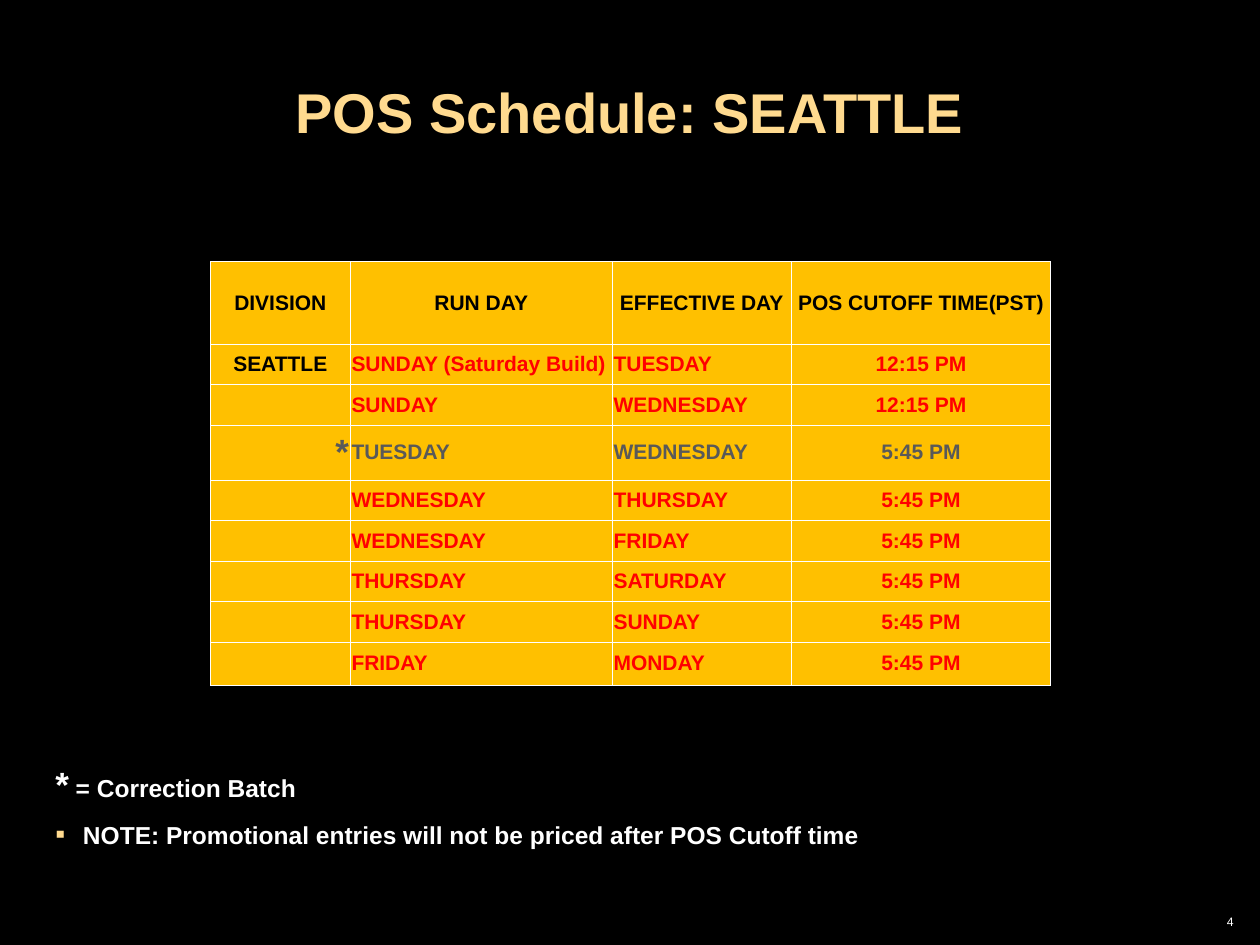
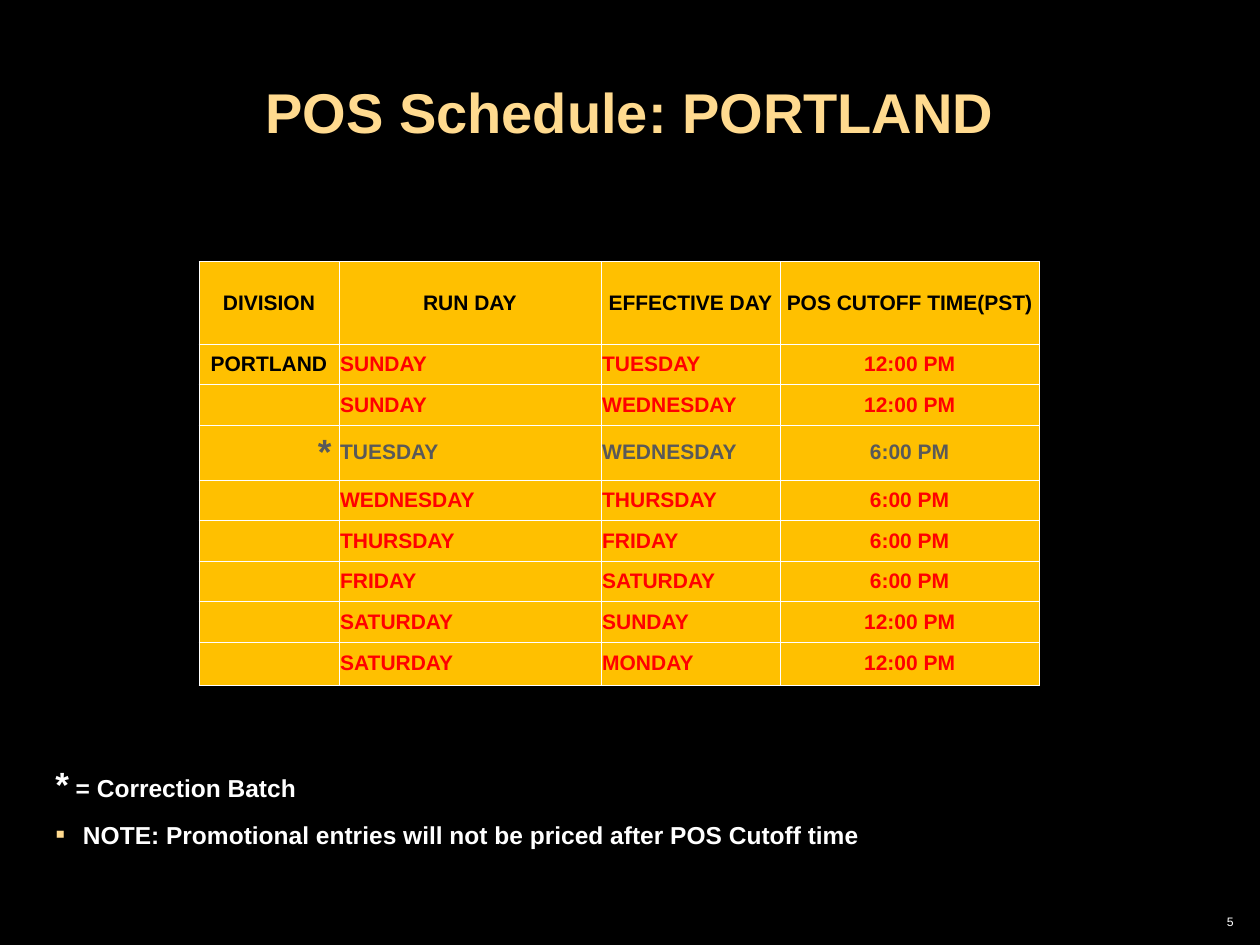
import pptx
import pptx.util
import pptx.dml.color
import pptx.enum.text
import pptx.oxml.ns
from lxml import etree

COLORS = {"back": "000000", "title": "FFDA8F", "text": "FFFFFF", "cell": "FFC000",
          "label": "000000", "batch": "FF0000", "correction": "595959"}
FONT = "Arial"
WIDTH, HEIGHT = pptx.util.Inches(10), pptx.util.Inches(7.5)

TITLE_BOX = (0.013, 0.084, 0.974, 0.077)
NOTES_BOX = (0.034, 0.8, 0.931, 0.111)
NUMBER_BOX = (0.781, 0.961, 0.208, 0.039)
TABLE_TOP, TABLE_WIDTH, TABLE_HEIGHT = 0.277, 0.667, 0.436
COL_WEIGHTS = (1.11, 2.08, 1.42, 2.06)
ROW_WEIGHTS = (0.65, 0.32, 0.32, 0.34, 0.32, 0.32, 0.32, 0.32, 0.34)

HEADERS = ("DIVISION", "RUN DAY", "EFFECTIVE DAY", "POS CUTOFF TIME(PST)")
EFFECTIVE_DAYS = ("TUESDAY", "WEDNESDAY", "WEDNESDAY", "THURSDAY",
                  "FRIDAY", "SATURDAY", "SUNDAY", "MONDAY")
CORRECTION_ROW = 3
SCHEDULES = (
    {"division": "SEATTLE", "number": 4, "left": 0.167, "star_gap": 0.01,
     "run_days": ("SUNDAY (Saturday Build)", "SUNDAY", "TUESDAY", "WEDNESDAY",
                  "WEDNESDAY", "THURSDAY", "THURSDAY", "FRIDAY"),
     "cutoffs": ("12:15 PM",) * 2 + ("5:45 PM",) * 6},
    {"division": "PORTLAND", "number": 5, "left": 0.158, "star_gap": 0.06,
     "run_days": ("SUNDAY", "SUNDAY", "TUESDAY", "WEDNESDAY",
                  "THURSDAY", "FRIDAY", "SATURDAY", "SATURDAY"),
     "cutoffs": ("12:00 PM",) * 2 + ("6:00 PM",) * 4 + ("12:00 PM",) * 2},
)

ALIGN = pptx.enum.text.PP_ALIGN
ANCHOR = pptx.enum.text.MSO_ANCHOR


def rgb(name):
    """Return the named colour."""
    return pptx.dml.color.RGBColor.from_string(COLORS[name])


def add_xml(parent, tag, **attrs):
    """Append a DrawingML element to its parent."""
    return etree.SubElement(parent, pptx.oxml.ns.qn(f"a:{tag}"), attrs)


def to_emu(box):
    """Turn shares of the slide into lengths."""
    x, y, w, h = box
    return round(x * WIDTH), round(y * HEIGHT), round(w * WIDTH), round(h * HEIGHT)


def style(font, size, color, bold=True):
    """Set the face, size, colour and weight of a font."""
    font.name, font.size, font.bold = FONT, pptx.util.Pt(size), bold
    font.color.rgb = rgb(color)


def add_text_frame(s, box):
    """Add a wrapping text box and return its frame."""
    tf = s.shapes.add_textbox(*to_emu(box)).text_frame
    tf.word_wrap = True
    return tf


def add_title(s, box, text):
    """Add the slide title, standing on the bottom of its box."""
    tf = add_text_frame(s, box)
    tf.vertical_anchor = ANCHOR.BOTTOM
    p = tf.paragraphs[0]
    p.text, p.alignment, p.line_spacing = text, ALIGN.CENTER, 0.9
    style(p.font, 32, "title")


def add_number(s, box, number):
    """Add the slide number at the right of its box."""
    p = add_text_frame(s, box).paragraphs[0]
    p.text, p.alignment = str(number), ALIGN.RIGHT
    style(p.font, 7, "text", bold=False)


def add_notes(s, box):
    """Add the key to the asterisk and the bulleted note."""
    tf = add_text_frame(s, box)
    p = tf.paragraphs[0]
    for text, size in (("*", 20), (" = Correction Batch", 14)):
        r = p.add_run()
        r.text = text
        style(r.font, size, "text")
    p = tf.add_paragraph()
    p.text = "NOTE: Promotional entries will not be priced after POS Cutoff time"
    p.space_before = pptx.util.Pt(8.8)
    indent = pptx.util.Inches(0.22)
    pPr = p._p.get_or_add_pPr()
    pPr.set("marL", str(indent))
    pPr.set("indent", str(-indent))
    add_xml(add_xml(pPr, "buClr"), "srgbClr", val=COLORS["title"])
    add_xml(pPr, "buSzPct", val="115000")
    add_xml(pPr, "buFont", typeface=FONT)
    add_xml(pPr, "buChar", char="▪")
    style(p.font, 14, "text")


def fill_cell(cell, text, align, size, color, right):
    """Write one table cell with its fill and borders."""
    cell.margin_left, cell.margin_right = pptx.util.Inches(0.01), pptx.util.Inches(right)
    cell.vertical_anchor = ANCHOR.MIDDLE
    for side in ("lnL", "lnR", "lnT", "lnB"):
        ln = add_xml(cell._tc.get_or_add_tcPr(), side, w=str(pptx.util.Pt(0.45)))
        add_xml(add_xml(ln, "solidFill"), "srgbClr", val=COLORS["text"])
    cell.fill.solid()
    cell.fill.fore_color.rgb = rgb("cell")
    p = cell.text_frame.paragraphs[0]
    p.alignment = align
    if text:
        p.text = text
        style(p.font, size, color)
    else:
        add_xml(p._p, "endParaRPr", sz=str(size * 100))


def add_schedule(s, box, schedule):
    """Add the table of run days, effective days and cutoff times."""
    divisions = [schedule["division"]] + [""] * (len(EFFECTIVE_DAYS) - 1)
    divisions[CORRECTION_ROW - 1] = "*"
    rows = [HEADERS, *zip(divisions, schedule["run_days"], EFFECTIVE_DAYS, schedule["cutoffs"])]
    x, y, w, h = to_emu(box)
    frame = s.shapes.add_table(len(rows), len(HEADERS), x, y, w, h)
    table = frame.table
    table.first_row = table.horz_banding = False
    for col, weight in zip(table.columns, COL_WEIGHTS):
        col.width = round(w * weight / sum(COL_WEIGHTS))
    for row, weight in zip(table.rows, ROW_WEIGHTS):
        row.height = round(h * weight / sum(ROW_WEIGHTS))
    for i, texts in enumerate(rows):
        for j, text in enumerate(texts):
            star = text == "*"
            align = ALIGN.LEFT if i and j in (1, 2) else ALIGN.CENTER
            if i == CORRECTION_ROW:
                color = "correction"
            else:
                color = "batch" if i and j else "label"
            fill_cell(table.cell(i, j), text, ALIGN.RIGHT if star else align,
                      20 if star else 12, color, schedule["star_gap"] if star else 0.01)


def add_schedule_slide(prs, schedule):
    """Add the slide of one division."""
    s = prs.slides.add_slide(prs.slide_layouts[6])
    s.background.fill.solid()
    s.background.fill.fore_color.rgb = rgb("back")
    add_number(s, NUMBER_BOX, schedule["number"])
    add_title(s, TITLE_BOX, f"POS Schedule: {schedule['division']}")
    add_schedule(s, (schedule["left"], TABLE_TOP, TABLE_WIDTH, TABLE_HEIGHT), schedule)
    add_notes(s, NOTES_BOX)


def main():
    """Build and save the presentation."""
    prs = pptx.Presentation()
    prs.slide_width, prs.slide_height = WIDTH, HEIGHT
    for schedule in SCHEDULES:
        add_schedule_slide(prs, schedule)
    prs.save("out.pptx")


if __name__ == "__main__":
    main()
